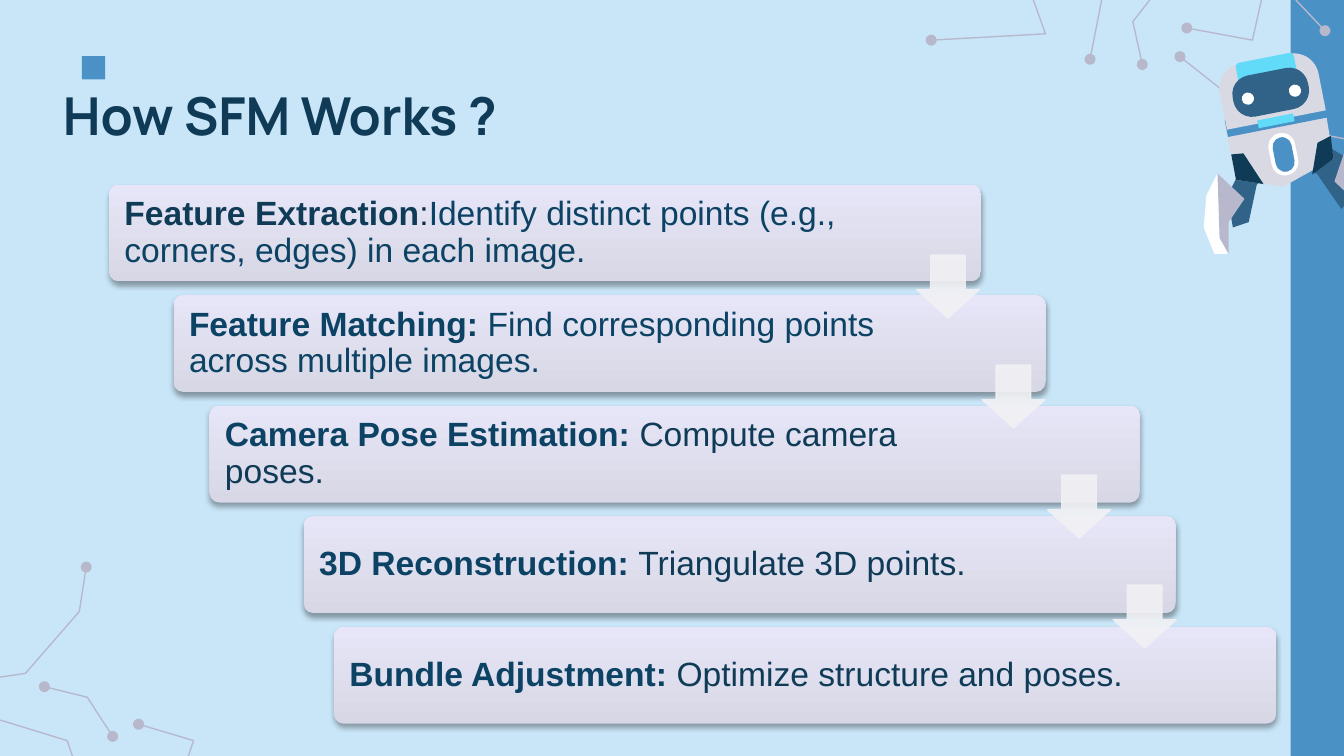
"""Build the "How SFM Works ?" slide: five stepped cards beside a robot."""
from lxml import etree
from pptx import Presentation
from pptx.dml.color import RGBColor
from pptx.enum.shapes import MSO_CONNECTOR, MSO_SHAPE
from pptx.enum.text import MSO_ANCHOR, PP_ALIGN
from pptx.oxml.ns import qn
from pptx.util import Cm, Pt

RECT, ROUND, OVAL = MSO_SHAPE.RECTANGLE, MSO_SHAPE.ROUNDED_RECTANGLE, MSO_SHAPE.OVAL
DOME, ARROW = MSO_SHAPE.ROUND_2_SAME_RECTANGLE, MSO_SHAPE.DOWN_ARROW
STRAIGHT = MSO_CONNECTOR.STRAIGHT
MIDDLE, LEFT = MSO_ANCHOR.MIDDLE, PP_ALIGN.LEFT

THEME = {
    "sky": "C9E6F8", "blue": "4A91C6", "steel": "316388", "navy": "103B57",
    "ink": "0C4263", "dark": "0B2C41", "cyan": "61DBF8", "white": "FFFFFF",
    "pale": "D9D9E4", "grey": "B8B8CC", "arrow": "F1F1F4",
    "card_bottom": "D7D7E5", "card_top": "E6E6F8",
    "title_font": "Manrope", "body_font": "Arial", "title_size": 28, "body_size": 18,
}

TITLE = "How SFM Works ?"
STEPS = [  # left, width, runs as (text, colour, bold)
    (2.06, 16.48, [
        ("Feature Extraction", "navy", True), (":", "dark", False),
        ("Identify distinct points (e.g., corners, edges) in each image.", "ink", False)]),
    (3.28, 16.48, [
        ("Feature Matching:", "ink", True),
        (" Find corresponding points across multiple images.", "ink", False)]),
    (3.96, 17.58, [
        ("Camera Pose Estimation: ", "ink", True), ("Compute camera poses.", "navy", False)]),
    (5.74, 16.48, [
        ("3D Reconstruction: ", "ink", True), ("Triangulate 3D points.", "navy", False)]),
    (6.31, 17.81, [
        ("Bundle Adjustment: ", "ink", True), ("Optimize structure and poses.", "navy", False)]),
]
CARD_TOP, CARD_PITCH, CARD_HEIGHT, TEXT_SHARE = 3.49, 2.09, 1.83, 0.85
ARROW_LEFT, ARROW_TOP, ARROW_SIZE = 17.32, 4.82, 1.19
ARROW_DX, ARROW_DY = 1.24, 2.08
WIDTH, HEIGHT = 25.4, 14.29

CIRCUITS = [
    [(17.6, 0.76), (19.76, 0.64), (19.53, 0)],
    [(20.6, 1.12), (20.82, 0)],
    [(21.59, 1.22), (21.41, 0.41), (21.73, 0)],
    [(22.43, 0.53), (23.67, 0.76), (23.84, 0)],
    [(22.3, 1.07), (23.22, 1.8)],
    [(24.43, 2.44), (WIDTH, 2.62)],
    [(25.04, 0.58), (24.49, 0)],
    [(1.63, 10.72), (1.5, 11.56), (0.48, 12.73), (0, 12.8)],
    [(0.84, 12.98), (1.65, 13.18), (2.13, 13.92)],
    [(2.62, 13.69), (3.66, 14), (3.56, HEIGHT)],
    [(0, 13.61), (1.27, 14), (1.37, HEIGHT)],
]
TILT = -11.1
LIMBS = [
    ("steel", [(24.5, 3), (24.9, 3.3), (25.35, 3.95), (WIDTH, 3.9), (WIDTH, 2.95), (24.8, 2.6)]),
    ("steel", [(23.6, 2.9), (24.15, 2.95), (23.75, 3.5), (23.6, 4.2), (23.3, 4.3), (23.2, 3.7)]),
    ("pale", [(23.14, 2.3), (23.36, 3.4), (24.25, 3.53), (25.2, 3), (25.02, 1.9)]),
    ("navy", [(24.8, 3.3), (25.2, 3), (25.15, 2.57), (24.9, 2.7)]),
    ("navy", [(23.27, 2.92), (23.36, 3.4), (23.88, 3.48), (23.5, 2.9)]),
    ("grey", [(WIDTH, 2.9), (25.22, 3.43), (WIDTH, 3.6)]),
    ("white", [(23.01, 3.28), (23.2, 4.5), (23.2, 4.8), (22.95, 4.8), (22.75, 4.3), (22.8, 3.7)]),
    ("grey", [(23.01, 3.28), (23.52, 3.76), (23.22, 4.2), (23.22, 4.8), (23.05, 4.5)]),
]
TORSO = [  # form, colour, box, corner roundness
    (RECT, "blue", (23.16, 2.08, 1.91, 0.33), None),
    (DOME, "pale", (23.06, 1.1, 1.9, 1.18), 0.4),
    (DOME, "cyan", (23.37, 1.09, 1.12, 0.41), 0.2),
    (ROUND, "steel", (23.29, 1.35, 1.45, 0.79), 0.45),
    (OVAL, "white", (24.36, 1.6, 0.23, 0.23), None),
    (OVAL, "white", (23.47, 1.75, 0.23, 0.23), None),
    (RECT, "cyan", (23.77, 2.21, 0.69, 0.15), None),
    (ROUND, "white", (24, 2.51, 0.51, 0.81), 0.5),
    (ROUND, "blue", (24.08, 2.59, 0.36, 0.66), 0.5),
]


def rgb(name):
    return RGBColor.from_string(THEME[name])


def paint(sp, colour):
    sp.shadow.inherit = False
    sp.fill.solid()
    sp.fill.fore_color.rgb = rgb(colour)
    sp.line.fill.background()


def add_block(shapes, kind, box, colour):
    sp = shapes.add_shape(kind, *map(Cm, box))
    paint(sp, colour)
    return sp


def add_outline(shapes, outline, close):
    points = [(Cm(x), Cm(y)) for x, y in outline]
    builder = shapes.build_freeform(*points[0], scale=1.0)
    builder.add_line_segments(points[1:], close=close)
    return builder.convert_to_shape()


def add_circuit(shapes, points):
    if len(points) == 2:
        sp = shapes.add_connector(STRAIGHT, *(Cm(v) for xy in points for v in xy))
        etree.SubElement(sp._element.spPr, qn("a:effectLst"))
    else:
        sp = add_outline(shapes, points, close=False)
        sp.shadow.inherit = False
        sp.fill.background()
    sp.line.color.rgb = rgb("grey")
    sp.line.width = Pt(0.75)
    for end, (x, y) in (("a:headEnd", points[0]), ("a:tailEnd", points[-1])):
        if 0 < x < WIDTH and 0 < y < HEIGHT:
            etree.SubElement(sp.line._get_or_add_ln(), qn(end), type="oval")


def add_robot(shapes):
    robot = shapes.add_group_shape().shapes
    for colour, outline in LIMBS:
        paint(add_outline(robot, outline, close=True), colour)
    for form, colour, box, roundness in TORSO:
        sp = add_block(robot, form, box, colour)
        sp.rotation = TILT
        if roundness:
            sp.adjustments[0] = roundness


def add_title(shapes):
    tf = shapes.add_textbox(Cm(0.94), Cm(1.32), Cm(23.39), Cm(1.6)).text_frame
    tf.word_wrap = True
    tf.margin_left = tf.margin_right = tf.margin_top = tf.margin_bottom = Cm(0.25)
    p = tf.paragraphs[0]
    p.text = TITLE
    p.font.name, p.font.size = THEME["title_font"], Pt(THEME["title_size"])
    p.font.bold, p.font.color.rgb = True, rgb("navy")


def add_card(shapes, top, left, width, runs):
    sp = add_block(shapes, ROUND, (left, top, width, CARD_HEIGHT), "card_top")
    sp.adjustments[0] = 0.1
    sp.fill.gradient()
    sp.fill.gradient_angle = 90
    for stop, colour in zip(sp.fill.gradient_stops, ("card_bottom", "card_top")):
        stop.color.rgb = rgb(colour)
    effects = sp._element.spPr.find(qn("a:effectLst"))
    shadow = etree.SubElement(effects, qn("a:outerShdw"), blurRad=str(Pt(3.1)),
                              dist=str(Pt(1.8)), dir="5400000", rotWithShape="0")
    black = etree.SubElement(shadow, qn("a:srgbClr"), val="000000")
    etree.SubElement(black, qn("a:alpha"), val="35000")
    tf = sp.text_frame
    tf.word_wrap, tf.vertical_anchor = True, MIDDLE
    tf.margin_left, tf.margin_right = Cm(0.24), Cm(width * (1 - TEXT_SHARE) + 0.13)
    tf.margin_top = tf.margin_bottom = Cm(0.19)
    p = tf.paragraphs[0]
    p.alignment, p.line_spacing = LEFT, 0.9
    p.font.name, p.font.size = THEME["body_font"], Pt(THEME["body_size"])
    for text, colour, bold in runs:
        r = p.add_run()
        r.text, r.font.bold = text, bold
        r.font.color.rgb = rgb(colour)


def add_arrow(shapes, i):
    box = (ARROW_LEFT + i * ARROW_DX, ARROW_TOP + i * ARROW_DY, ARROW_SIZE, ARROW_SIZE)
    sp = add_block(shapes, ARROW, box, "arrow")
    sp.adjustments[0], sp.adjustments[1] = 0.55, 0.45
    sp.line.color.rgb = rgb("arrow")
    sp.line.width = Pt(0.75)
    for colour in sp._element.spPr.iter(qn("a:srgbClr")):
        etree.SubElement(colour, qn("a:alpha"), val="90000")


def main():
    prs = Presentation()
    prs.slide_width, prs.slide_height = Cm(WIDTH), Cm(HEIGHT)
    s = prs.slides.add_slide(prs.slide_layouts[6])
    s.background.fill.solid()
    s.background.fill.fore_color.rgb = rgb("sky")
    add_block(s.shapes, RECT, (24.39, 0, 1.01, HEIGHT), "blue")
    for points in CIRCUITS:
        add_circuit(s.shapes, points)
    add_block(s.shapes, RECT, (1.55, 1.06, 0.44, 0.44), "blue")
    add_robot(s.shapes)
    add_title(s.shapes)
    for i, step in enumerate(STEPS):
        add_card(s.shapes, CARD_TOP + i * CARD_PITCH, *step)
    for i in range(len(STEPS) - 1):
        add_arrow(s.shapes, i)
    prs.save("out.pptx")


if __name__ == "__main__":
    main()
